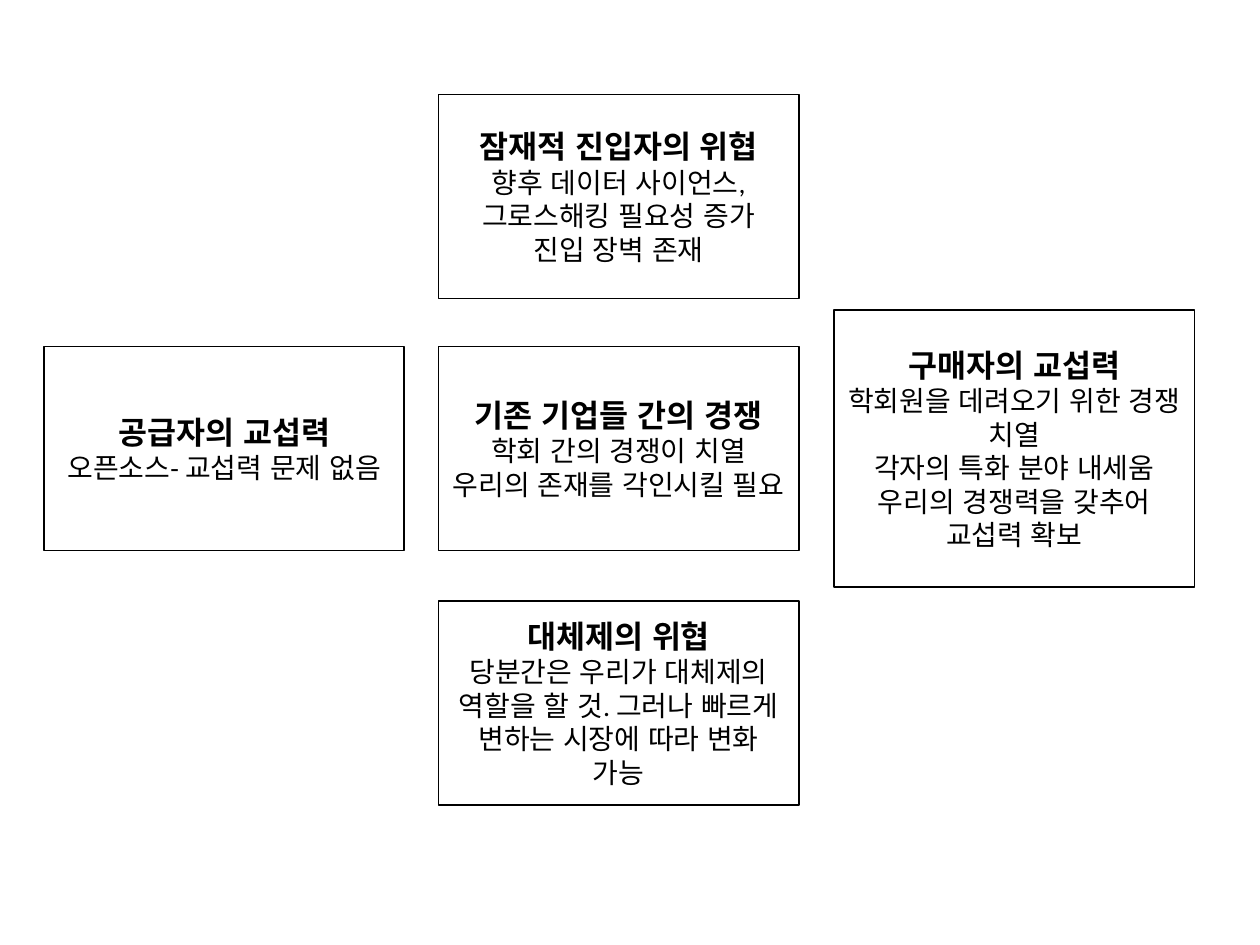
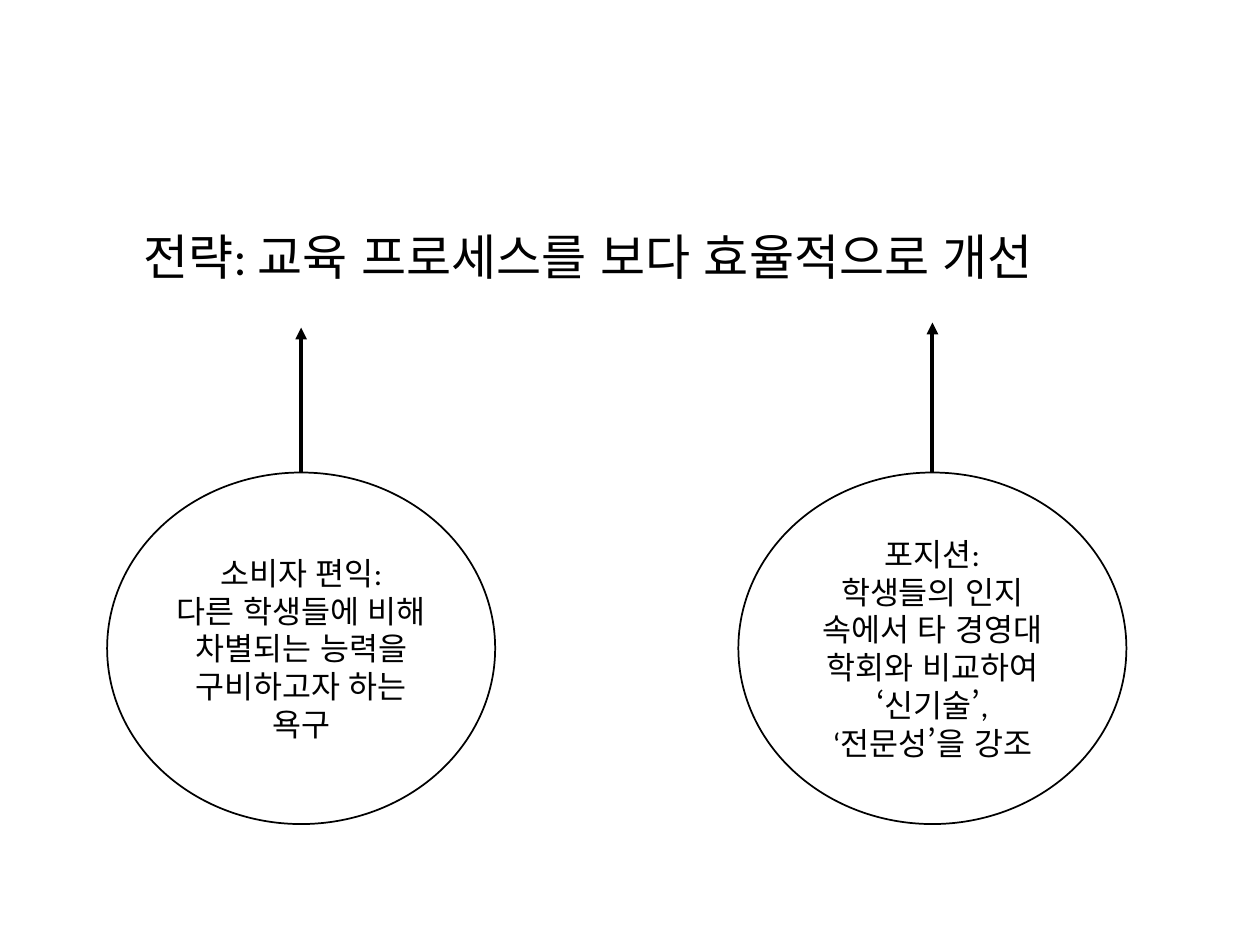
from lxml.etree import SubElement
from pptx import Presentation
from pptx.dml.color import RGBColor
from pptx.enum.lang import MSO_LANGUAGE_ID
from pptx.enum.shapes import MSO_CONNECTOR, MSO_SHAPE
from pptx.enum.text import MSO_ANCHOR, MSO_AUTO_SIZE, PP_ALIGN
from pptx.oxml.ns import qn
from pptx.util import Inches, Pt

FONT = "Calibri"
INK = "000000"
PAPER = "FFFFFF"


def paint(fmt, color):
    if hasattr(fmt, "solid"):
        fmt.solid()
        fmt = fmt.fore_color
    else:
        fmt = fmt.color
    fmt.rgb = RGBColor.from_string(color)


def write(tf, lines, align, anchor):
    tf.word_wrap = True
    tf.vertical_anchor = anchor
    for i, (text, size, bold) in enumerate(lines):
        p = tf.paragraphs[0] if i == 0 else tf.add_paragraph()
        p.alignment = align
        r = p.add_run()
        r.text = text
        r.font.name = FONT
        r.font.size = Pt(size)
        r.font.bold = bold
        r.font.language_id = MSO_LANGUAGE_ID.KOREAN
        paint(r.font, INK)


prs = Presentation()
prs.slide_width = Inches(10)
prs.slide_height = Inches(7.5)
title_only, blank = prs.slide_layouts[5], prs.slide_layouts[6]

s = prs.slides.add_slide(blank)
left, mid, right = 0.35, 3.48, 6.62
box_w, box_h = 2.86, 1.62
forces = [
    (left, 2.75, box_h, "공급자의 교섭력", ["오픈소스- 교섭력 문제 없음"]),
    (right, 2.46, 2.2, "구매자의 교섭력",
     ["학회원을 데려오기 위한 경쟁 치열", "각자의 특화 분야 내세움",
      "우리의 경쟁력을 갖추어 교섭력 확보"]),
    (mid, 2.75, box_h, "기존 기업들 간의 경쟁",
     ["학회 간의 경쟁이 치열", "우리의 존재를 각인시킬 필요"]),
    (mid, 0.75, box_h, "잠재적 진입자의 위협",
     ["향후 데이터 사이언스, 그로스해킹 필요성 증가", "진입 장벽 존재"]),
    (mid, 4.77, box_h, "대체제의 위협",
     ["당분간은 우리가 대체제의 역할을 할 것. 그러나 빠르게 변하는 시장에 따라 변화 가능"]),
]
for x, y, h, heading, details in forces:
    sp = s.shapes.add_shape(MSO_SHAPE.RECTANGLE, Inches(x), Inches(y),
                            Inches(box_w), Inches(h))
    sp.shadow.inherit = False
    paint(sp.fill, PAPER)
    paint(sp.line, INK)
    sp.line.width = Pt(1)
    lines = [(heading, 18, True)] + [(d, 16, False) for d in details]
    write(sp.text_frame, lines, PP_ALIGN.CENTER, MSO_ANCHOR.MIDDLE)

s = prs.slides.add_slide(title_only)
title = s.shapes.title
title.left, title.top = Inches(1.04), Inches(1.75)
title.width, title.height = Inches(8.11), Inches(0.57)
title.text_frame.auto_size = MSO_AUTO_SIZE.NONE
write(title.text_frame, [("전략: 교육 프로세스를 보다 효율적으로 개선", 28, False)],
      PP_ALIGN.LEFT, MSO_ANCHOR.TOP)

circle_y, circle_w, circle_h = 3.75, 3.08, 2.79
grounds = [
    (5.86, 2.56, "포지션:",
     "학생들의 인지 속에서 타 경영대 학회와 비교하여 ‘신기술’, ‘전문성’을 강조"),
    (0.85, 2.6, "소비자 편익:",
     "다른 학생들에 비해 차별되는 능력을 구비하고자 하는 욕구"),
]
for x, tip_y, heading, detail in grounds:
    sp = s.shapes.add_shape(MSO_SHAPE.OVAL, Inches(x), Inches(circle_y),
                            Inches(circle_w), Inches(circle_h))
    sp.shadow.inherit = False
    sp.fill.background()
    paint(sp.line, INK)
    sp.line.width = Pt(1)
    write(sp.text_frame, [(heading, 18, False), (detail, 18, False)],
          PP_ALIGN.CENTER, MSO_ANCHOR.MIDDLE)

    center = Inches(x + circle_w / 2)
    arrow = s.shapes.add_connector(MSO_CONNECTOR.STRAIGHT, center,
                                   Inches(circle_y), center, Inches(tip_y))
    paint(arrow.line, INK)
    arrow.line.width = Pt(2.25)
    SubElement(arrow.line._get_or_add_ln(), qn("a:tailEnd"), type="triangle")
    SubElement(arrow._element.spPr, qn("a:effectLst"))

prs.save("out.pptx")
